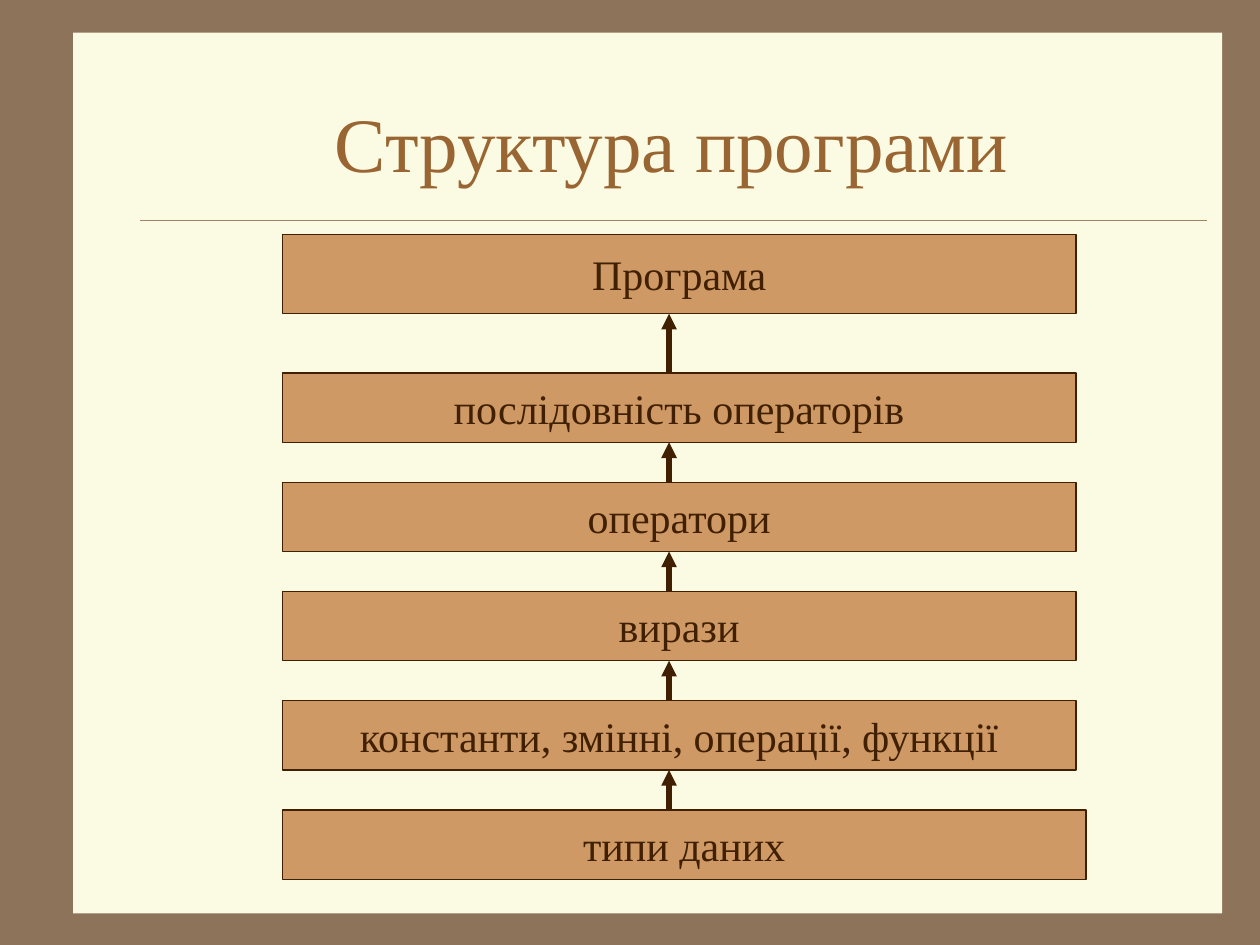
from dataclasses import dataclass
from itertools import pairwise

from lxml.etree import SubElement as add_sub
from pptx import Presentation
from pptx.dml.color import RGBColor as Rgb
from pptx.enum.shapes import MSO_CONNECTOR as Link, MSO_SHAPE as Kind
from pptx.enum.text import MSO_ANCHOR as Anchor, PP_ALIGN as Align
from pptx.oxml.ns import qn
from pptx.util import Inches, Pt

# Grid of 100 columns by 75 rows
WIDE, HIGH = Inches(10), Inches(7.5)
COLS, ROWS = 100, 75
DARK, TAN, CREAM, BROWN = "402000", "CE9964", "FBFAE2", "8C735A"


@dataclass
class Box:
    left: float
    top: float
    width: float
    height: float

    @property
    def base(self) -> float:
        return self.top + self.height


def col(num: float) -> int:
    return round(WIDE * num / COLS)


def row(num: float) -> int:
    return round(HIGH * num / ROWS)


def place(box: Box) -> tuple[int, int, int, int]:
    return col(box.left), row(box.top), col(box.width), row(box.height)


def paint(part, tone: str) -> None:
    """Give a fill or a line one solid colour."""
    part.solid()
    part.fore_color.rgb = Rgb.from_string(tone)


def write(shape, text: str, *, size: float, tone: str, wrap: bool) -> None:
    frame = shape.text_frame
    frame.word_wrap = wrap
    frame.vertical_anchor = Anchor.MIDDLE
    para = frame.paragraphs[0]
    para.alignment = Align.CENTER
    run = para.add_run()
    run.text = text
    run.font.name = "Times New Roman"
    run.font.size = Pt(size)
    paint(run.font.fill, tone)


def add_box(slide, box: Box, fill: str, edge: str | None = None):
    shape = slide.shapes.add_shape(Kind.RECTANGLE, *place(box))
    shape.shadow.inherit = False
    paint(shape.fill, fill)
    if edge:
        paint(shape.line.fill, edge)
        shape.line.width = Pt(0.75)
    else:
        shape.line.fill.background()
    return shape


def add_line(slide, start: tuple[float, float], end: tuple[float, float],
             tone: str, width: float, arrow: bool = False) -> None:
    line = slide.shapes.add_connector(
        Link.STRAIGHT, col(start[0]), row(start[1]), col(end[0]), row(end[1]))
    paint(line.line.fill, tone)
    line.line.width = Pt(width)
    if arrow:
        add_sub(line.line._get_or_add_ln(), qn("a:tailEnd"), type="triangle")
    add_sub(line._element.spPr, qn("a:effectLst"))


def main() -> None:
    deck = Presentation()
    deck.slide_width, deck.slide_height = WIDE, HIGH
    slide = deck.slides.add_slide(deck.slide_layouts[6])

    # Page and frame
    paint(slide.background.fill, BROWN)
    add_box(slide, Box(5.8, 2.6, 91.2, 69.9), CREAM)
    add_line(slide, (11.1, 17.5), (95.8, 17.5), "A08366", 0.25)

    # Title
    title = slide.shapes.add_textbox(*place(Box(10.8, 5, 85, 12.5)))
    write(title, "Структура програми", size=44, tone="996633", wrap=True)

    # Levels, from the whole down to its parts; the last is a bit wider
    names = ["послідовність операторів", "оператори", "вирази",
             "константи, змінні, операції, функції", "типи даних"]
    left, width, first, step = 22.4, 63, 29.6, 8.67
    boxes = [Box(left, 18.6, width, 6.3)]
    boxes += [Box(left, first + step * num, width, 5.5)
              for num in range(len(names))]
    boxes[-1].width = 63.8
    for box, name in zip(boxes, ["Програма", *names]):
        shape = add_box(slide, box, TAN, DARK)
        write(shape, name, size=24, tone=DARK, wrap=False)

    # Arrows from each level up to the one above
    mid = 53.1
    for above, below in pairwise(boxes):
        add_line(slide, (mid, below.top), (mid, above.base), DARK, 3, arrow=True)

    deck.save("out.pptx")


if __name__ == "__main__":
    main()
